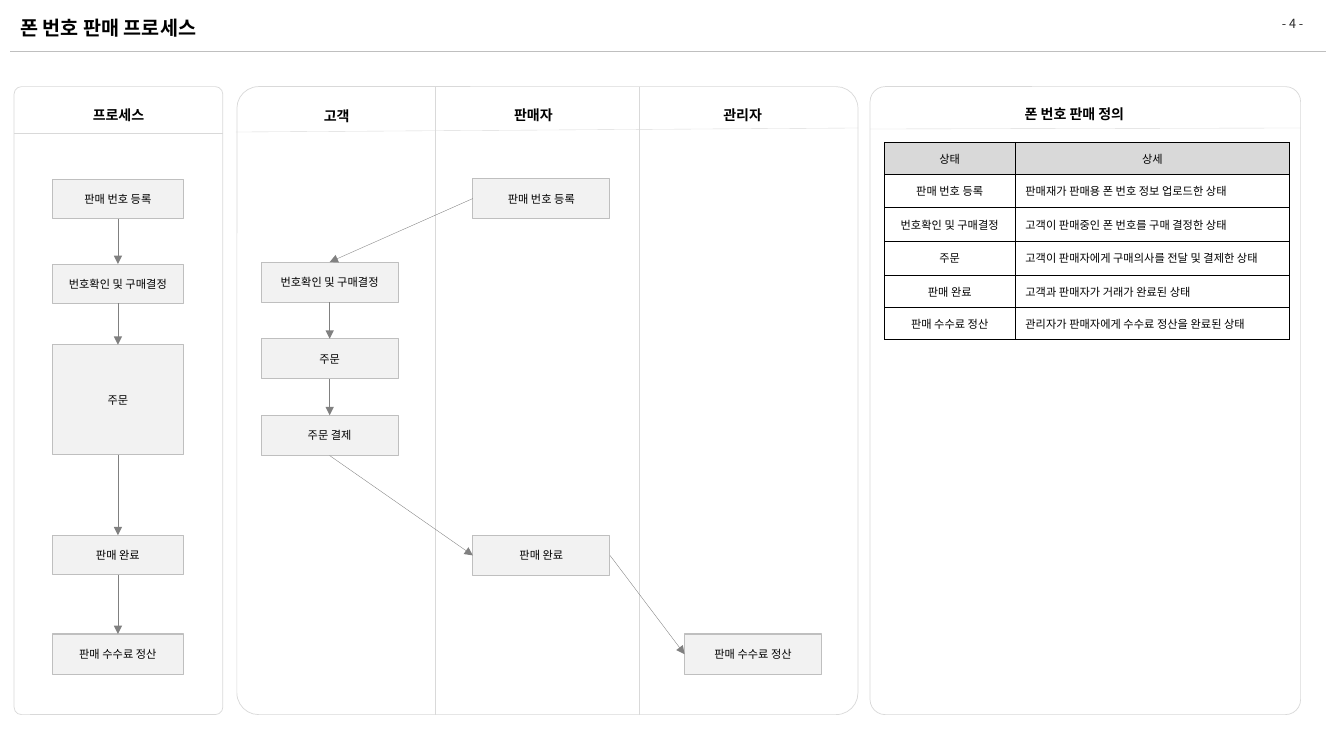
from lxml.etree import SubElement
from pptx import Presentation
from pptx.dml.color import RGBColor
from pptx.enum.shapes import MSO_CONNECTOR, MSO_SHAPE
from pptx.enum.text import MSO_ANCHOR, MSO_AUTO_SIZE, PP_ALIGN
from pptx.oxml.ns import qn
from pptx.util import Pt

SCALE = 9144
FONT = "Noto Sans CJK KR"
BLACK = RGBColor(0x00, 0x00, 0x00)
CHARCOAL = RGBColor(0x26, 0x26, 0x26)
ARROW_GRAY = RGBColor(0x80, 0x80, 0x80)
BORDER_GRAY = RGBColor(0xBF, 0xBF, 0xBF)
PANEL_GRAY = RGBColor(0xD9, 0xD9, 0xD9)
BOX_GRAY = RGBColor(0xF2, 0xF2, 0xF2)
WHITE = RGBColor(0xFF, 0xFF, 0xFF)
TOP, BOTTOM = 86, 709
ABOVE, LEFT, BELOW, RIGHT = range(4)

REGISTER = "판매 번호 등록"
DECIDE = "번호확인 및 구매결정"
ORDER = "주문"
PAY = "주문 결제"
COMPLETE = "판매 완료"
SETTLE = "판매 수수료 정산"

PANELS = [(14, 207), (235, 616), (863, 427)]
RULES = [(14, 132, 221, 132), (234, 131, 851, 127), (863, 128, 1290, 127),
         (432, TOP, 432, BOTTOM), (634, TOP, 634, BOTTOM)]
HEADINGS = [("프로세스", 14, 101, 207), ("고객", 235, 102, 198), ("판매자", 424, 101, 210),
            ("관리자", 622, 101, 229), ("폰 번호 판매 정의", 841, 100, 449)]
PROCESS_STEPS = [(REGISTER, 178, 39), (DECIDE, 262, 39), (ORDER, 342, 109),
                 (COMPLETE, 531, 39), (SETTLE, 629, 40)]
LANE_STEPS = [(REGISTER, 469, 177), (DECIDE, 259, 260), (ORDER, 259, 336),
              (PAY, 259, 412), (COMPLETE, 469, 531), (SETTLE, 679, 629)]
LANE_SIDES = [(LEFT, ABOVE), (BELOW, ABOVE), (BELOW, ABOVE), (BELOW, LEFT), (RIGHT, LEFT)]
DEFINITIONS = [
    ("상태", "상세"),
    (REGISTER, "판매재가 판매용 폰 번호 정보 업로드한 상태"),
    (DECIDE, "고객이 판매중인 폰 번호를 구매 결정한 상태"),
    (ORDER, "고객이 판매자에게 구매의사를 전달 및 결제한 상태"),
    (COMPLETE, "고객과 판매자가 거래가 완료된 상태"),
    (SETTLE, "관리자가 판매자에게 수수료 정산을 완료된 상태"),
]
COLUMN_WIDTHS = [130, 272]
ROW_HEIGHTS = [32, 33, 33, 34, 32, 32]


def px(*lengths):
    return [length * SCALE for length in lengths]


def write(frame, text, size=8, color=BLACK, bold=False, align=PP_ALIGN.CENTER,
          anchor=MSO_ANCHOR.MIDDLE):
    frame.vertical_anchor = anchor
    para = frame.paragraphs[0]
    para.alignment = align
    span = para.add_run()
    span.text = text
    span.font.size = Pt(size)
    span.font.bold = bold
    span.font.color.rgb = color
    span.font.name = FONT
    SubElement(span.font._element, qn("a:ea"), typeface=FONT)


def set_margins(frame, side, end):
    frame.margin_left, frame.margin_right = px(side, side)
    frame.margin_top, frame.margin_bottom = px(end, end)


def add_title(page, text):
    title = page.shapes.title
    title.left, title.top, title.width, title.height = px(10, 4, 866, 47)
    title.text_frame.auto_size = MSO_AUTO_SIZE.NONE
    write(title.text_frame, text, size=14, bold=True, align=PP_ALIGN.LEFT)


def add_label(page, text, left, top, width, height, margin=5, **text_format):
    label = page.shapes.add_textbox(*px(left, top, width, height))
    frame = label.text_frame
    frame.word_wrap = True
    set_margins(frame, margin, 5)
    write(frame, text, **text_format)


def add_panel(page, left, width):
    panel = page.shapes.add_shape(MSO_SHAPE.ROUNDED_RECTANGLE,
                                  *px(left, TOP, width, BOTTOM - TOP))
    panel.adjustments[0] = 0.035
    panel.shadow.inherit = False
    panel.fill.background()
    panel.line.color.rgb = PANEL_GRAY
    panel.line.width = Pt(0.5)


def add_step(page, text, left, top, width, height):
    box = page.shapes.add_shape(MSO_SHAPE.RECTANGLE, *px(left, top, width, height))
    box.shadow.inherit = False
    box.fill.solid()
    box.fill.fore_color.rgb = BOX_GRAY
    box.line.color.rgb = BORDER_GRAY
    box.line.width = Pt(0.75)
    box.text_frame.word_wrap = False
    set_margins(box.text_frame, 2, 5)
    write(box.text_frame, text)
    return box


def add_rule(page, left, top, right, bottom, color=PANEL_GRAY):
    rule = page.shapes.add_connector(MSO_CONNECTOR.STRAIGHT, *px(left, top, right, bottom))
    rule.line.color.rgb = color
    rule.line.width = Pt(0.25)
    SubElement(rule._element.spPr, qn("a:effectLst"))
    return rule


def add_arrow(page, source, target, source_side=BELOW, target_side=ABOVE):
    arrow = add_rule(page, 0, 0, 0, 0, ARROW_GRAY)
    arrow.begin_connect(source, source_side)
    arrow.end_connect(target, target_side)
    SubElement(arrow.line._get_or_add_ln(), qn("a:tailEnd"), type="triangle")


def add_borders(cell):
    properties = cell._tc.get_or_add_tcPr()
    for position, edge in enumerate(("a:lnL", "a:lnR", "a:lnT", "a:lnB")):
        border = properties.makeelement(qn(edge), {"w": str(Pt(0.25))})
        fill = SubElement(border, qn("a:solidFill"))
        SubElement(fill, qn("a:srgbClr"), val=str(BLACK))
        properties.insert(position, border)


def add_definitions(page):
    table = page.shapes.add_table(len(DEFINITIONS), 2, *px(
        877, 141, sum(COLUMN_WIDTHS), sum(ROW_HEIGHTS))).table
    table.horz_banding = False
    table.first_row = False
    for column, width in zip(table.columns, px(*COLUMN_WIDTHS)):
        column.width = width
    for row, height in zip(table.rows, px(*ROW_HEIGHTS)):
        row.height = height
    for row_index, texts in enumerate(DEFINITIONS):
        for column_index, text in enumerate(texts):
            cell = table.cell(row_index, column_index)
            cell.fill.solid()
            cell.fill.fore_color.rgb = WHITE if row_index else PANEL_GRAY
            cell.vertical_anchor = MSO_ANCHOR.MIDDLE
            is_detail = row_index > 0 and column_index == 1
            if is_detail:
                set_margins(cell, 10, 0)
            write(cell.text_frame, text, align=PP_ALIGN.LEFT if is_detail else PP_ALIGN.CENTER)
            add_borders(cell)


def main():
    deck = Presentation()
    deck.slide_width, deck.slide_height = px(1333, 750)
    page = deck.slides.add_slide(deck.slide_layouts[5])

    add_title(page, "폰 번호 판매 프로세스")
    add_label(page, "- 4 -", 1239, 9, 86, 28, margin=10, size=9, color=CHARCOAL)
    add_rule(page, 10, 51, 1315, 51, BORDER_GRAY)

    for left, width in PANELS:
        add_panel(page, left, width)
    for ends in RULES:
        add_rule(page, *ends)
    for text, left, top, width in HEADINGS:
        add_label(page, text, left, top, width, 27, size=10, bold=True, anchor=MSO_ANCHOR.TOP)

    process = [add_step(page, text, 52, top, 130, height) for text, top, height in PROCESS_STEPS]
    for source, target in zip(process, process[1:]):
        add_arrow(page, source, target)

    lanes = [add_step(page, text, left, top, 136, 40) for text, left, top in LANE_STEPS]
    for source, target, sides in zip(lanes, lanes[1:], LANE_SIDES):
        add_arrow(page, source, target, *sides)

    add_definitions(page)
    deck.save("out.pptx")


if __name__ == "__main__":
    main()
